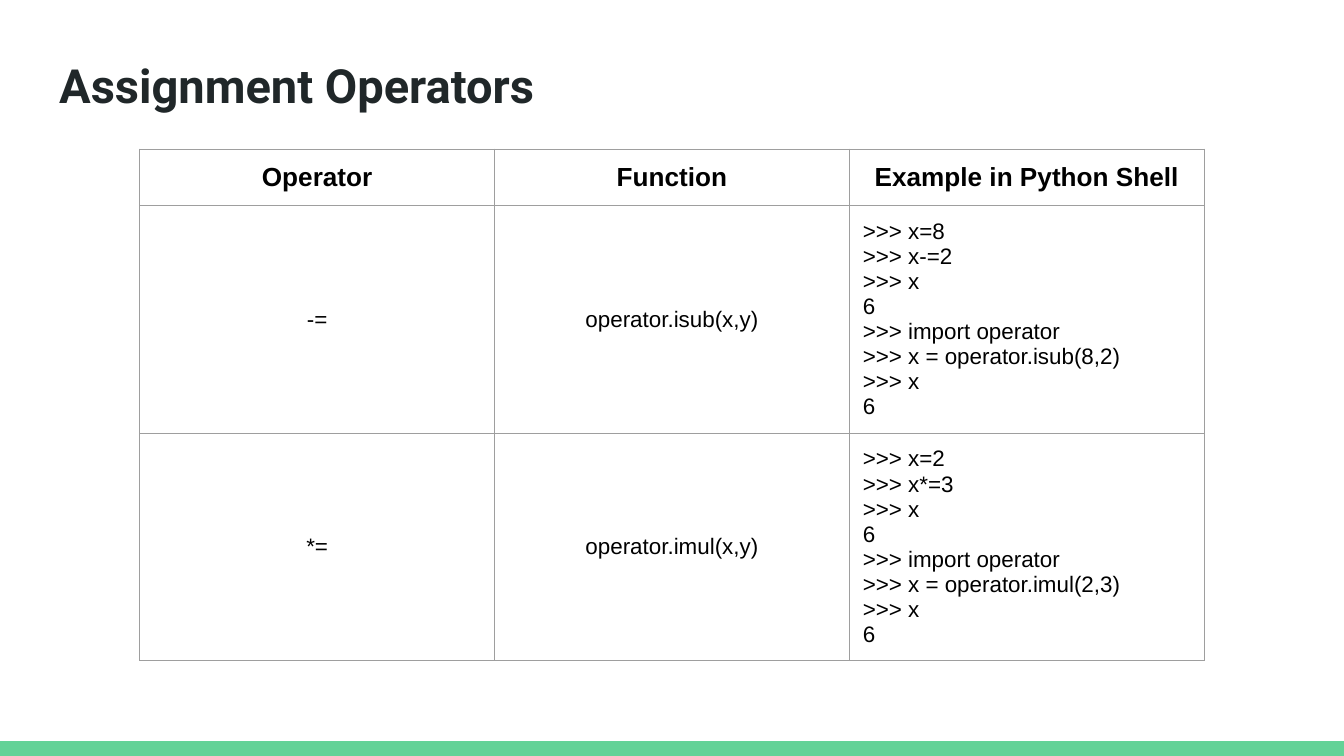
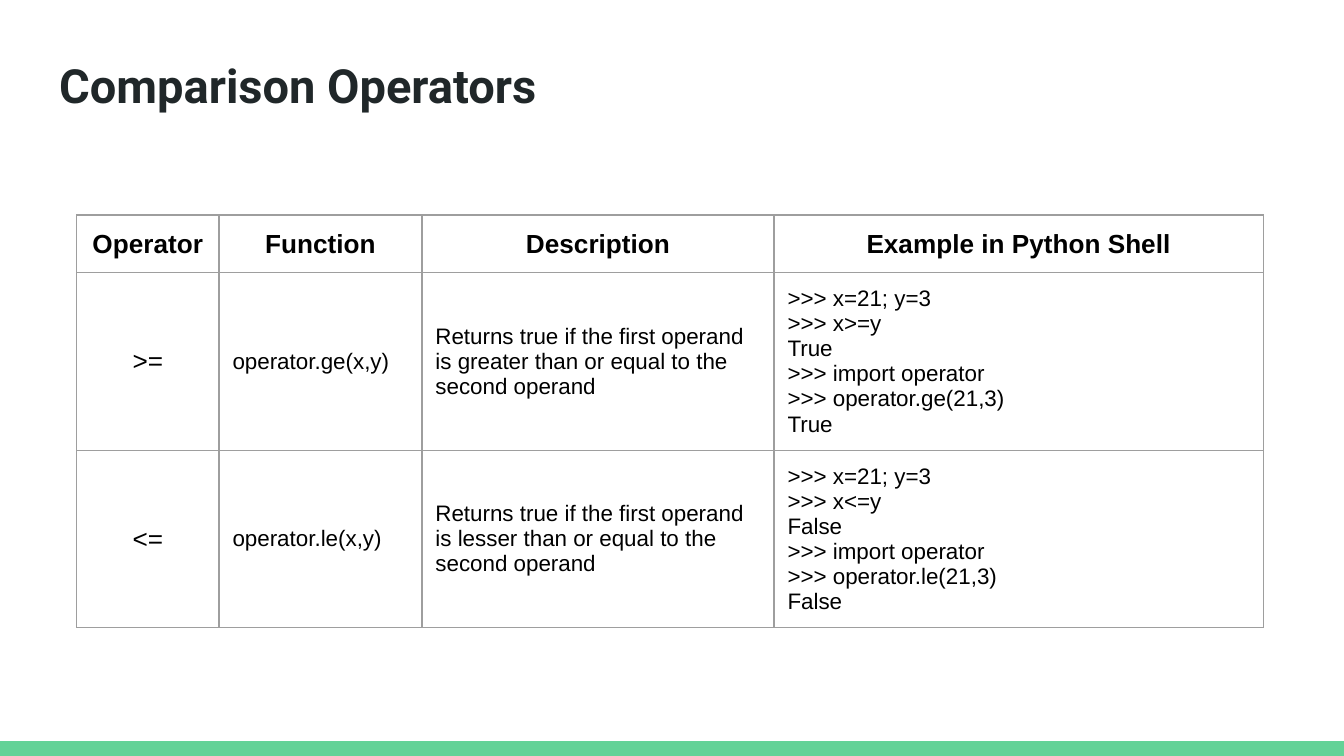
"""Build two slides that tabulate Python operators and their function forms."""
from dataclasses import dataclass

import lxml.etree
import pptx
import pptx.dml.color
import pptx.enum.shapes
import pptx.enum.text
import pptx.oxml.ns
import pptx.presentation
import pptx.slide
import pptx.table
import pptx.text.text
import pptx.util

Inches = pptx.util.Inches
Align = pptx.enum.text.PP_ALIGN
Anchor = pptx.enum.text.MSO_ANCHOR

SLIDE_WIDTH = Inches(10)
SLIDE_HEIGHT = SLIDE_WIDTH * 9 // 16
BAND_HEIGHT = Inches(0.11)
INSET = Inches(0.1)
ROW_HEIGHT = Inches(0.42)
BORDER_WIDTH = pptx.util.Pt(0.75)
GREEN, INK, BLACK, GREY, WHITE = "63D297", "202729", "000000", "9E9E9E", "FFFFFF"


@dataclass(frozen=True)
class Column:
    heading: str
    width: float
    align: Align = Align.LEFT
    size: float = 12


@dataclass(frozen=True)
class OperatorSlide:
    title: str
    left: float
    top: float
    heading_height: float
    columns: tuple[Column, ...]
    rows: tuple[tuple[str, ...], ...]


OPERATOR_SLIDES = (
    OperatorSlide(
        "Assignment Operators", 1.04, 1.11, 0.42,
        (
            Column("Operator", 2.64, Align.CENTER),
            Column("Function", 2.64, Align.CENTER),
            Column("Example in Python Shell", 2.64),
        ),
        (
            ("-=", "operator.isub(x,y)",
             ">>> x=8\n>>> x-=2\n>>> x\n6\n"
             ">>> import operator\n>>> x = operator.isub(8,2)\n>>> x\n6"),
            ("*=", "operator.imul(x,y)",
             ">>> x=2\n>>> x*=3\n>>> x\n6\n"
             ">>> import operator\n>>> x = operator.imul(2,3)\n>>> x\n6"),
        ),
    ),
    OperatorSlide(
        "Comparison Operators", 0.57, 1.6, 0.43,
        (
            Column("Operator", 1.06, Align.CENTER, 14),
            Column("Function", 1.51),
            Column("Description", 2.62),
            Column("Example in Python Shell", 3.64),
        ),
        (
            (">=", "operator.ge(x,y)",
             "Returns true if the first operand is greater than or equal to the second operand",
             ">>> x=21; y=3\n>>> x>=y\nTrue\n"
             ">>> import operator\n>>> operator.ge(21,3)\nTrue"),
            ("<=", "operator.le(x,y)",
             "Returns true if the first operand is lesser than or equal to the second operand",
             ">>> x=21; y=3\n>>> x<=y\nFalse\n"
             ">>> import operator\n>>> operator.le(21,3)\nFalse"),
        ),
    ),
)


def rgb(value: str) -> pptx.dml.color.RGBColor:
    return pptx.dml.color.RGBColor.from_string(value)


def format_text(frame: pptx.text.text.TextFrame, face: str, size: float,
                colour: str, bold: bool, align: Align) -> None:
    for paragraph in frame.paragraphs:
        paragraph.alignment = align
        paragraph.font.name = face
        paragraph.font.size = pptx.util.Pt(size)
        paragraph.font.bold = bold
        paragraph.font.color.rgb = rgb(colour)


def draw_band(slide: pptx.slide.Slide) -> None:
    band = slide.shapes.add_shape(pptx.enum.shapes.MSO_SHAPE.RECTANGLE,
                                  0, SLIDE_HEIGHT - BAND_HEIGHT, SLIDE_WIDTH, BAND_HEIGHT)
    band.shadow.inherit = False
    band.fill.solid()
    band.fill.fore_color.rgb = rgb(GREEN)
    band.line.fill.background()


def draw_title(slide: pptx.slide.Slide, wording: str) -> None:
    title = slide.shapes.title
    title.left, title.top = Inches(0.34), Inches(0.32)
    title.width, title.height = Inches(9.32), Inches(0.63)
    frame = title.text_frame
    frame.text = wording
    frame.word_wrap = True
    frame.auto_size = pptx.enum.text.MSO_AUTO_SIZE.NONE
    frame.vertical_anchor = Anchor.TOP
    frame.margin_left = frame.margin_right = INSET
    frame.margin_top = frame.margin_bottom = INSET
    format_text(frame, "Roboto", 25.2, INK, True, Align.LEFT)


def draw_borders(cell: pptx.table._Cell) -> None:
    qn = pptx.oxml.ns.qn
    properties = cell._tc.get_or_add_tcPr()
    for side in ("a:lnL", "a:lnR", "a:lnT", "a:lnB"):
        border = lxml.etree.SubElement(properties, qn(side), w=str(int(BORDER_WIDTH)))
        fill = lxml.etree.SubElement(border, qn("a:solidFill"))
        lxml.etree.SubElement(fill, qn("a:srgbClr"), val=GREY)


def fill_cell(cell: pptx.table._Cell, wording: str, size: float,
              bold: bool, align: Align) -> None:
    cell.text = wording
    cell.vertical_anchor = Anchor.MIDDLE
    cell.margin_left = cell.margin_right = INSET
    cell.margin_top = cell.margin_bottom = INSET
    draw_borders(cell)
    cell.fill.background()
    format_text(cell.text_frame, "Arial", size, BLACK, bold, align)


def draw_operators(slide: pptx.slide.Slide, content: OperatorSlide) -> None:
    heading_height = Inches(content.heading_height)
    total_width = Inches(sum(column.width for column in content.columns))
    operators = slide.shapes.add_table(
        len(content.rows) + 1, len(content.columns),
        Inches(content.left), Inches(content.top),
        total_width, heading_height + ROW_HEIGHT * len(content.rows)).table
    operators.first_row = operators.horz_banding = False
    for row in operators.rows:
        row.height = ROW_HEIGHT
    operators.rows[0].height = heading_height
    for index, column in enumerate(content.columns):
        operators.columns[index].width = Inches(column.width)
        fill_cell(operators.cell(0, index), column.heading, 14, True, Align.CENTER)
        for number, entries in enumerate(content.rows, start=1):
            fill_cell(operators.cell(number, index), entries[index],
                      column.size, False, column.align)


def draw_slide(deck: pptx.presentation.Presentation, content: OperatorSlide) -> None:
    slide = deck.slides.add_slide(deck.slide_layouts[5])
    slide.background.fill.solid()
    slide.background.fill.fore_color.rgb = rgb(WHITE)
    draw_band(slide)
    draw_title(slide, content.title)
    draw_operators(slide, content)


def main() -> None:
    deck = pptx.Presentation()
    deck.slide_width, deck.slide_height = SLIDE_WIDTH, SLIDE_HEIGHT
    for content in OPERATOR_SLIDES:
        draw_slide(deck, content)
    deck.save("out.pptx")


if __name__ == "__main__":
    main()
